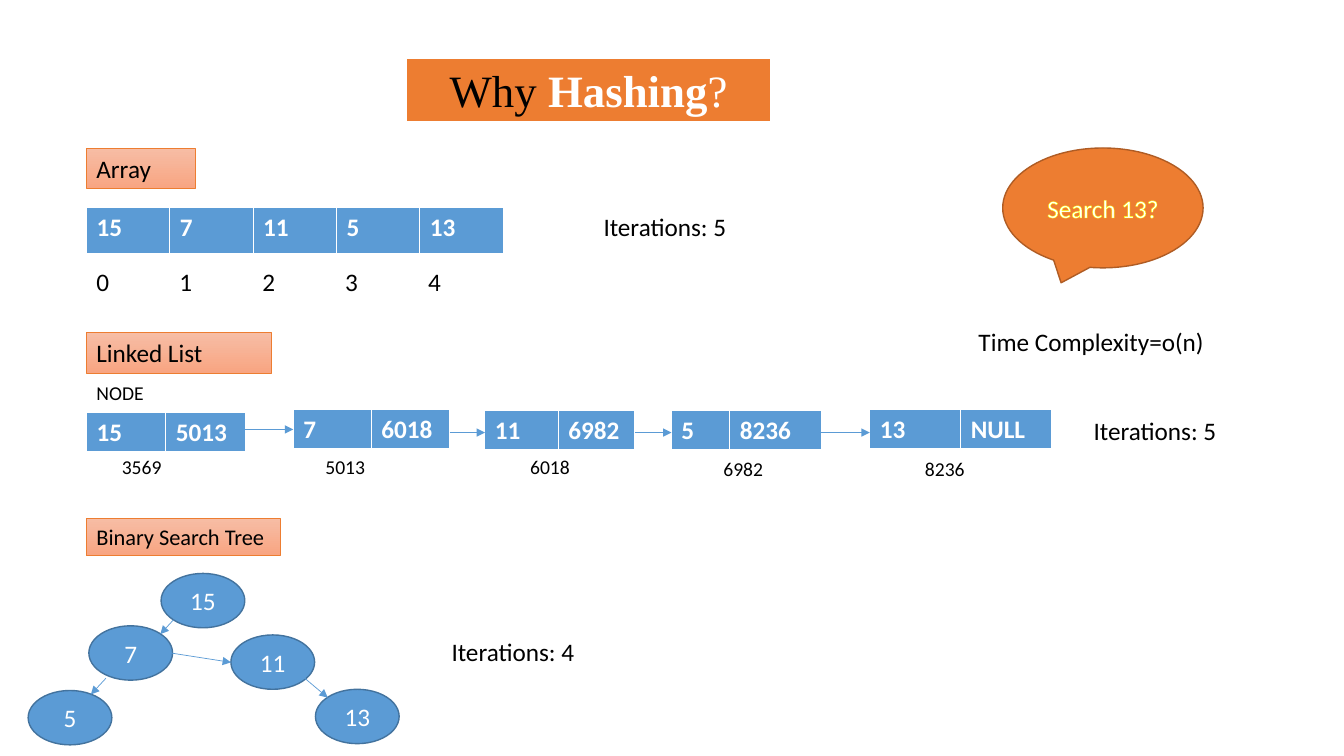
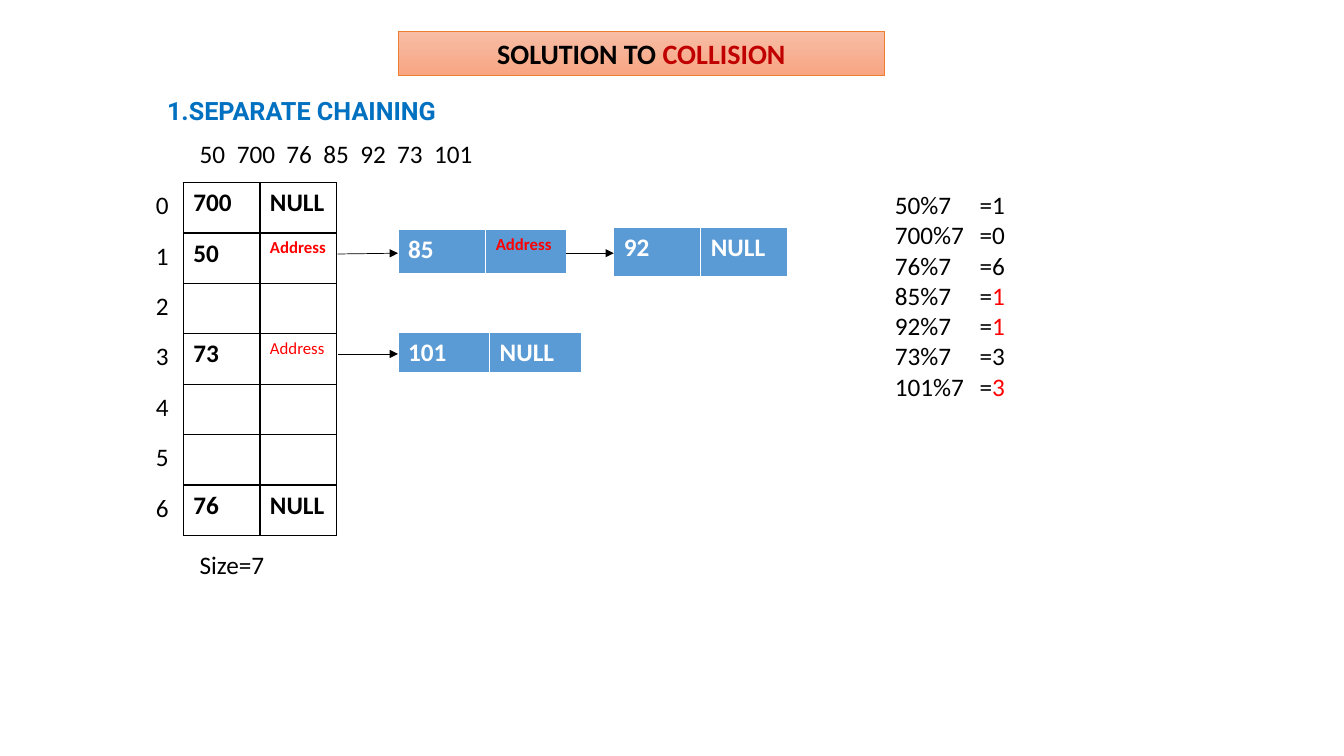
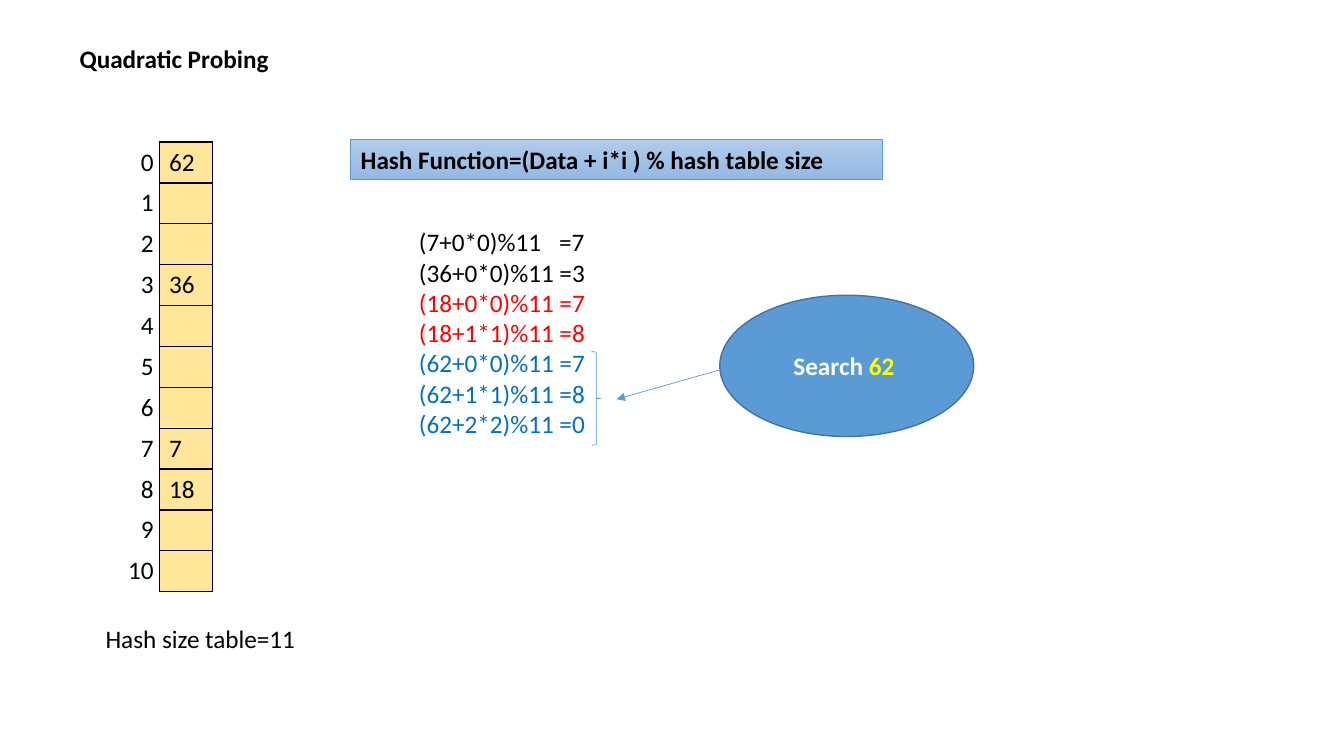
from dataclasses import dataclass
from itertools import pairwise
from typing import Any, NamedTuple, Optional, Sequence, Union

from lxml import etree
from pptx import Presentation
from pptx.dml.color import RGBColor
from pptx.enum.shapes import MSO_CONNECTOR, MSO_SHAPE
from pptx.enum.text import MSO_ANCHOR, MSO_AUTO_SIZE, PP_ALIGN
from pptx.oxml.ns import qn
from pptx.util import Cm, Pt

RECT, OVAL = MSO_SHAPE.RECTANGLE, MSO_SHAPE.OVAL
BUBBLE, BRACE = MSO_SHAPE.OVAL_CALLOUT, MSO_SHAPE.RIGHT_BRACE
STRAIGHT = MSO_CONNECTOR.STRAIGHT
LEFT, CENTER, RIGHT = PP_ALIGN.LEFT, PP_ALIGN.CENTER, PP_ALIGN.RIGHT
TOP, MIDDLE = MSO_ANCHOR.TOP, MSO_ANCHOR.MIDDLE
GROW, FIXED = MSO_AUTO_SIZE.SHAPE_TO_FIT_TEXT, MSO_AUTO_SIZE.NONE
TITLE_ONLY = 5


@dataclass(frozen=True)
class Theme:
    """Colours, fonts and type sizes of the deck."""
    black: str = "000000"
    white: str = "FFFFFF"
    red: str = "FF0000"
    crimson: str = "C00000"
    yellow: str = "FFFF00"
    sand: str = "FFE699"
    azure: str = "0070C0"
    blue: str = "5B9BD5"
    navy: str = "43739E"
    orange: str = "ED7D31"
    rust: str = "AF5C24"
    peach: tuple = ("F7BDA5", "F8A582")
    sky: tuple = ("B1CBE9", "93B9E4")
    font: str = "Calibri"
    serif: str = "Times New Roman"
    sans: str = "Roboto"
    head: float = 32
    lead: float = 20
    body: float = 18
    tag: float = 16
    note: float = 14
    small: float = 12


T = Theme()


@dataclass(frozen=True)
class Run:
    """Text whose format differs from its paragraph."""
    text: str
    color: Optional[str] = None
    bold: Optional[bool] = None
    size: Optional[float] = None


Line = Union[str, Run, tuple]
Fill = Union[str, tuple, None]


class Box(NamedTuple):
    """Left, top, width and height in centimetres."""
    x: float
    y: float
    w: float
    h: float = 1.02


class Node(NamedTuple):
    """A two-cell list node, its address label and outgoing arrow height."""
    x: float
    y: float
    cols: tuple
    cells: tuple
    label: str = ""
    spot: tuple = ()
    out: float = 0
    h: float = 1.03


class Edge(NamedTuple):
    """Start and end of an arrow in centimetres."""
    x1: float
    y1: float
    x2: float
    y2: float


def rgb(color: str) -> RGBColor:
    """Turn a hex string into a colour."""
    return RGBColor.from_string(color)


def write(frame: Any, *lines: Line, size: float = T.body, color: str = T.black,
          bold: bool = False, font: str = T.font, align: Any = LEFT,
          tabs: Sequence[float] = (), edge: str = "") -> None:
    """Fill a text frame, one paragraph a line, with tab stops in cm."""
    for i, line in enumerate(lines):
        para = frame.add_paragraph() if i else frame.paragraphs[0]
        para.alignment = align
        if tabs:
            stops = etree.SubElement(para._p.get_or_add_pPr(), qn("a:tabLst"))
            for stop in tabs:
                etree.SubElement(stops, qn("a:tab"), pos=str(Cm(stop)), algn="l")
        for part in line if isinstance(line, tuple) else (line,):
            item = part if isinstance(part, Run) else Run(part)
            if not item.text:
                continue
            run = para.add_run()
            run.text = item.text
            run.font.name = font
            run.font.size = Pt(item.size or size)
            run.font.bold = bold if item.bold is None else item.bold
            run.font.color.rgb = rgb(item.color or color)
            if edge:
                props = run._r.get_or_add_rPr()
                props.insert(0, stroke("a:ln", edge, 0.75))


def stroke(tag: str, color: str, width: float) -> Any:
    """Build a solid line element."""
    line = etree.Element(qn(tag), w=str(Pt(width)))
    solid = etree.SubElement(line, qn("a:solidFill"))
    etree.SubElement(solid, qn("a:srgbClr"), val=color)
    return line


def paint(shape: Any, fill: Fill, line: str, width: float) -> None:
    """Give a shape its fill (plain, two-colour or none) and outline."""
    if fill is None:
        shape.fill.background()
    elif isinstance(fill, str):
        shape.fill.solid()
        shape.fill.fore_color.rgb = rgb(fill)
    else:
        shape.fill.gradient()
        shape.fill.gradient_angle = 270
        for stop, color in zip(shape.fill.gradient_stops, fill):
            stop.color.rgb = rgb(color)
    shape.line.color.rgb = rgb(line)
    shape.line.width = Pt(width)


def title(slide: Any, box: Box, *lines: Line, **form: Any) -> Any:
    """Place and write the title placeholder at a fixed size."""
    shape = slide.shapes.title
    shape.left, shape.top, shape.width, shape.height = map(Cm, box)
    frame = shape.text_frame
    frame.word_wrap, frame.auto_size = True, FIXED
    frame.vertical_anchor = TOP
    write(frame, *lines, **form)
    return shape


def text(slide: Any, box: Box, *lines: Line, **form: Any) -> None:
    """Add a wrapped text box."""
    frame = slide.shapes.add_textbox(*map(Cm, box)).text_frame
    frame.word_wrap, frame.auto_size = True, GROW
    write(frame, *lines, **form)


def shape(slide: Any, kind: Any, box: Box, *lines: Line, fill: Fill = T.blue,
          line: str = T.navy, width: float = 1, anchor: Any = MIDDLE,
          **form: Any) -> None:
    """Add a preset shape with its text."""
    item = slide.shapes.add_shape(kind, *map(Cm, box))
    item.shadow.inherit = False
    paint(item, fill, line, width)
    frame = item.text_frame
    frame.word_wrap, frame.auto_size = True, FIXED
    frame.vertical_anchor = anchor
    write(frame, *lines, **form)


def tag(slide: Any, box: Box, label: str, fill: Fill = T.peach,
        line: str = T.orange, **form: Any) -> None:
    """Add a shaded heading bar."""
    shape(slide, RECT, box, label, fill=fill, line=line, width=0.5,
          anchor=TOP, **form)


def oval(slide: Any, box: Box, *lines: Line, **form: Any) -> None:
    """Add a blue oval with centred white text."""
    shape(slide, OVAL, box, *lines, color=T.white, align=CENTER, **form)


def arrow(slide: Any, edge: Edge, color: str = T.blue) -> None:
    """Add a thin arrow."""
    item = slide.shapes.add_connector(STRAIGHT, *map(Cm, edge))
    item.line.color.rgb = rgb(color)
    item.line.width = Pt(0.5)
    props = item._element.spPr
    etree.SubElement(props.find(qn("a:ln")), qn("a:tailEnd"), type="triangle")
    etree.SubElement(props, qn("a:effectLst"))


def grid(slide: Any, x: float, y: float, cols: Sequence[float], high: float,
         rows: Sequence[Sequence[Line]], fill: str = T.blue,
         rule: str = T.white, base: float = 3, color: str = T.white,
         bold: bool = True) -> None:
    """Add a table of equal rows; base is the width of bottom borders."""
    frame = slide.shapes.add_table(len(rows), len(cols), Cm(x), Cm(y),
                                   Cm(sum(cols)), Cm(high * len(rows)))
    table = frame.table
    table.first_row = table.horz_banding = False
    for column, wide in zip(table.columns, cols):
        column.width = Cm(wide)
    for line, cells in zip(table.rows, rows):
        line.height = Cm(high)
        for cell, value in zip(line.cells, cells):
            cell.fill.solid()
            cell.fill.fore_color.rgb = rgb(fill)
            write(cell.text_frame, value, color=color, bold=bold)
            props = cell._tc.get_or_add_tcPr()
            for i, side in enumerate("LRTB"):
                width = base if side == "B" else 1
                props.insert(i, stroke(f"a:ln{side}", rule, width))


def chain(slide: Any, nodes: Sequence[Node], color: str = T.blue) -> None:
    """Draw list nodes, their addresses and the arrows between them."""
    for node in nodes:
        grid(slide, node.x, node.y, node.cols, node.h, [node.cells])
        if node.label:
            text(slide, Box(*node.spot, 2.2, 0.86), node.label, size=T.note)
    for node, after in pairwise(nodes):
        arrow(slide, Edge(node.x + sum(node.cols), node.out, after.x, node.out),
              color)


def index(slide: Any, x: float, y: float, pitch: float, count: int) -> None:
    """Number the rows of a table from zero."""
    for i in range(count):
        text(slide, Box(x, y + pitch * i, 1.4), str(i), align=RIGHT)


def why(slide: Any) -> None:
    """Compare searching an array, a linked list and a tree."""
    head = title(slide, Box(10.24, 1.45, 9.19, 1.63),
                 ("Why ", Run("Hashing", T.white, True), Run("?", T.white)),
                 size=T.head, font=T.serif, align=CENTER)
    paint(head, T.orange, T.white, 1.5)

    left = 2.18
    tag(slide, Box(left, 3.73, 2.74), "Array")
    grid(slide, left, 5.23, [2.1] * 5, 1.19, [("15", "7", "11", "5", "13")])
    text(slide, Box(left, 6.58, 10.46), "0\t1\t2\t3\t4",
         tabs=[2.09 * i for i in range(1, 5)])

    tag(slide, Box(left, 8.38, 4.67), "Linked List")
    text(slide, Box(left, 9.47, 4, 0.86), "NODE", size=T.note)
    chain(slide, [
        Node(left, 10.39, (2, 2), ("15", "5013"), "3569", (2.82, 11.35), 10.82),
        Node(7.39, 10.31, (1.97, 1.97), ("7", "6018"), "5013", (7.95, 11.35), 10.9),
        Node(12.22, 10.34, (1.85, 1.93), ("11", "6982"), "6018", (13.11, 11.35), 10.9),
        Node(16.92, 10.34, (1.47, 2.31), ("5", "8236"), "6982", (17.98, 11.38), 10.9),
        Node(21.92, 10.31, (2.29, 2.29), ("13", "NULL"), "8236", (23.06, 11.38)),
    ])

    tag(slide, Box(left, 13.06, 4.88, 0.94), "Binary Search Tree", size=T.tag)
    for key, x, y in (("15", 4.06, 14.45), ("7", 2.24, 15.77), ("11", 5.82, 16),
                      ("13", 7.95, 17.37), ("5", 0.71, 17.4)):
        oval(slide, Box(x, y, 2.11, 1.37), key)
    for edge in (Edge(4.37, 15.62, 4.04, 15.98), Edge(2.67, 17.09, 2.29, 17.5),
                 Edge(4.34, 16.46, 5.82, 16.69), Edge(7.62, 17.04, 8.26, 17.58)):
        arrow(slide, edge)

    for x, y, count in ((14.96, 5.21, 5), (27.31, 10.34, 5), (11.13, 15.9, 4)):
        text(slide, Box(x, y, 4.4), f"Iterations: {count}")
    text(slide, Box(24.41, 8.1, 6.63), "Time Complexity=o(n)")
    shape(slide, BUBBLE, Box(25.27, 3.73, 5.05, 3.02), "Search 13?",
          fill=T.orange, line=T.rust, color=T.white, align=CENTER, edge=T.yellow)


def chaining(slide: Any) -> None:
    """Show separate chaining."""
    head = title(slide, Box(10.03, 0.79, 12.27, 1.12),
                 ("SOLUTION TO ", Run("COLLISION", T.crimson)),
                 size=T.lead, bold=True, align=CENTER)
    paint(head, T.peach, T.orange, 0.5)
    text(slide, Box(3.96, 2.29, 9.47), "1.SEPARATE CHAINING",
         font=T.sans, color=T.azure, bold=True)
    text(slide, Box(4.78, 3.35, 18.24), "50\t700\t76\t85\t92\t73\t101",
         tabs=(0.94, 2.19, 3.12, 4.05, 4.98, 5.91))

    link = Run("Address", T.red, size=T.small)
    blank = ("", "")
    grid(slide, 4.62, 4.6, (1.93, 1.93), 1.27,
         [("700", "NULL"), ("50", link), blank,
          ("73", Run("Address", T.red, False, T.small)), blank, blank,
          ("76", "NULL")],
         fill=T.white, rule=T.black, base=1, color=T.black)
    index(slide, 3.1, 4.65, 1.27, 7)
    text(slide, Box(4.78, 13.72, 3.43, 1.07), "Size=7")

    chain(slide, [
        Node(10.03, 5.79, (2.21, 2.03), ("85", link), out=6.38, h=1.14),
        Node(15.47, 5.74, (2.19, 2.19), ("92", "NULL"), h=1.27),
    ], T.black)
    chain(slide, [Node(10.03, 8.38, (2.31, 2.31), ("101", "NULL"))])
    for edge in (Edge(8.51, 6.4, 10.03, 6.38), Edge(8.51, 8.92, 10.03, 8.92)):
        arrow(slide, edge, T.black)

    clash = (85, 92, 101)
    sums = [(f"{key}%7\t=", Run(str(key % 7), T.red if key in clash else None))
            for key in (50, 700, 76, 85, 92, 73, 101)]
    text(slide, Box(22.3, 4.65, 5.41, 5.64), *sums, tabs=[2.14])


def probing(slide: Any) -> None:
    """Show quadratic probing."""
    title(slide, Box(1.75, 0.97, 8.59), "Quadratic Probing", bold=True)
    slots = {0: "62", 3: "36", 7: "7", 8: "18"}
    grid(slide, 4.01, 3.58, [1.35], 1.03, [(slots.get(i, ""),) for i in range(11)],
         fill=T.sand, rule=T.black, base=1, color=T.black, bold=False)
    index(slide, 2.72, 3.55, 1.03, 11)
    text(slide, Box(2.41, 15.57, 5.97), "Hash size table=11")

    tag(slide, Box(8.84, 3.51, 13.39),
        "Hash Function=(Data + i*i ) % hash table size",
        fill=T.sky, line=T.blue, bold=True)
    text(slide, Box(10.31, 5.59, 7.72, 5.64),
         "(7+0*0)%11\t=7", "(36+0*0)%11 =3",
         Run("(18+0*0)%11 =7", T.red), Run("(18+1*1)%11 =8", T.red),
         Run("(62+0*0)%11 =7", T.azure), Run("(62+1*1)%11 =8", T.azure),
         Run("(62+2*2)%11 =0", T.azure), tabs=[3.53])
    oval(slide, Box(18.14, 7.44, 6.4, 3.56),
         ("Search ", Run("62 ", T.yellow)), bold=True)
    shape(slide, BRACE, Box(14.91, 8.86, 0.23, 2.36), fill=None, line=T.blue,
          width=0.5)
    arrow(slide, Edge(18.14, 9.32, 15.54, 10.06))


def main() -> None:
    """Build and save the deck."""
    deck = Presentation()
    deck.slide_width, deck.slide_height = Cm(33.87), Cm(19.05)
    for draw in (why, chaining, probing):
        draw(deck.slides.add_slide(deck.slide_layouts[TITLE_ONLY]))
    deck.save("out.pptx")


main()
